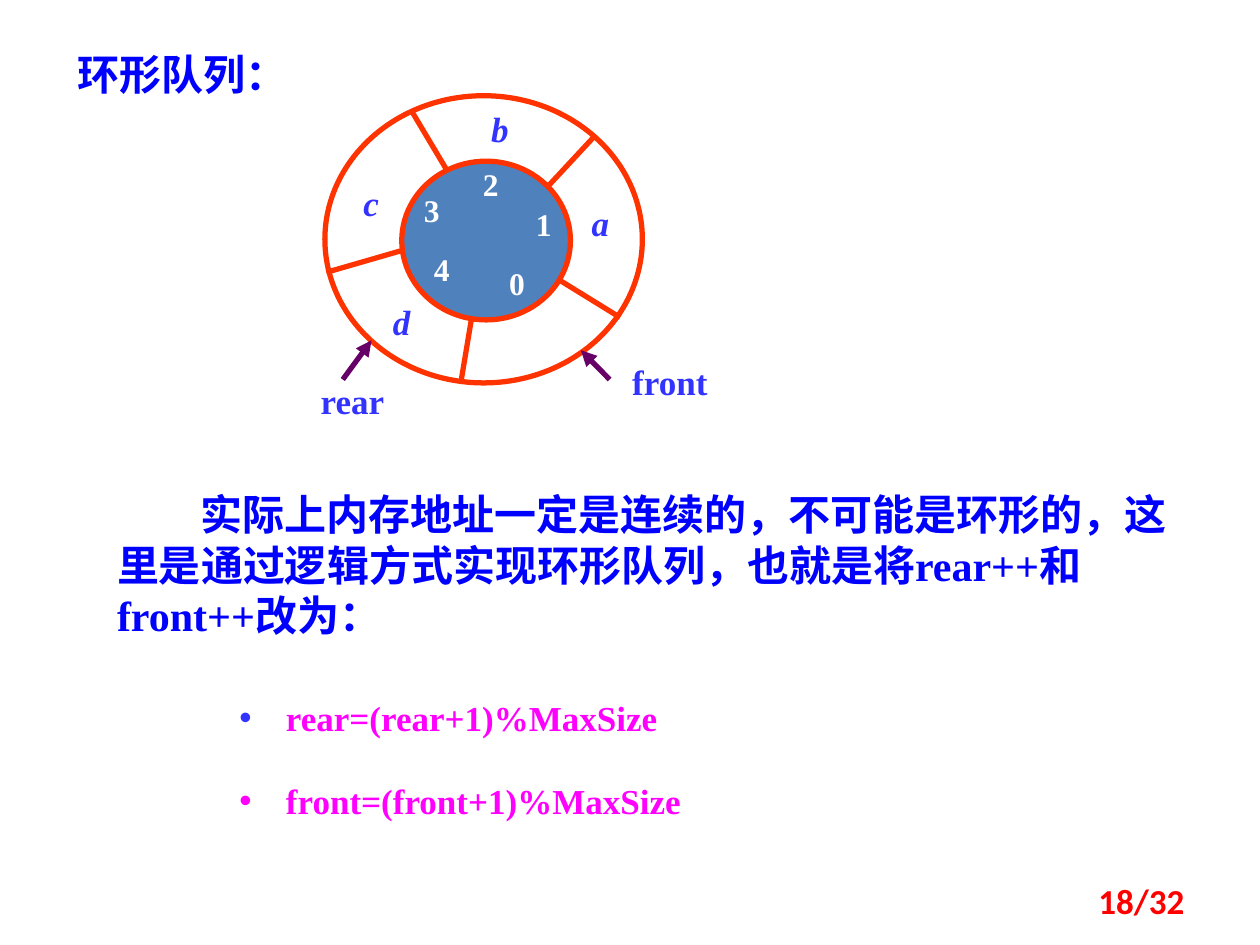
from lxml.etree import SubElement
from pptx import Presentation
from pptx.dml.color import RGBColor
from pptx.enum.lang import MSO_LANGUAGE_ID
from pptx.enum.shapes import MSO_CONNECTOR, MSO_SHAPE
from pptx.enum.text import MSO_ANCHOR, MSO_AUTO_SIZE, PP_ALIGN
from pptx.oxml.ns import qn
from pptx.util import Cm, Pt

RING = "FF3300"
POINTER = "660066"
LABEL = "3333FF"
HEADING = "0000FF"
FORMULA = "FF00FF"

SPOKES = [
    (11.3, 5.66, 12.5, 6.4),
    (11.07, 3.73, 11.99, 2.74),
    (8.31, 2.26, 9.02, 3.45),
    (9.5, 6.45, 9.3, 7.65),
    (6.58, 5.49, 8.1, 5.05),
]
POINTERS = [(12.29, 7.65, 11.71, 7.06), (6.91, 7.65, 7.49, 6.86)]
INDEXES = [(10.03, 5.33), (10.57, 4.14), (9.5, 3.33), (8.31, 3.86), (8.51, 5.05)]
ELEMENTS = {"a": (11.71, 4.06), "b": (9.68, 2.16), "c": (7.09, 3.66), "d": (7.7, 6.05)}
POINTER_NAMES = {"front": (12.5, 7.26), "rear": (6.1, 7.65)}


def color(value):
    """Turn a hex string into a colour."""
    return RGBColor.from_string(value)


def place(shape, left, top, width, height):
    """Move and size a shape in centimetres."""
    shape.left, shape.top = Cm(left), Cm(top)
    shape.width, shape.height = Cm(width), Cm(height)


def format_paragraph(paragraph, size, hex_color, align=PP_ALIGN.LEFT,
                     font="Times New Roman", italic=False):
    """Set the alignment and the font of every run."""
    paragraph.alignment = align
    for run in paragraph.runs:
        run.font.name = font
        run.font.size = Pt(size)
        run.font.bold = True
        run.font.italic = italic
        run.font.color.rgb = color(hex_color)
        run.font.language_id = MSO_LANGUAGE_ID.SIMPLIFIED_CHINESE


def add_text(shapes, text, box, size, hex_color, **style):
    """Add a wrapping text box with one paragraph."""
    shape = shapes.add_textbox(*map(Cm, box))
    shape.text_frame.word_wrap = True
    shape.text_frame.text = text
    format_paragraph(shape.text_frame.paragraphs[0], size, hex_color, **style)
    return shape


def add_label(shapes, text, left, top, size, hex_color, width=0.79, italic=False):
    """Add a centred label without margins."""
    shape = add_text(shapes, text, (left, top, width, 0.84), size, hex_color,
                     align=PP_ALIGN.CENTER, italic=italic)
    frame = shape.text_frame
    frame.margin_left = frame.margin_right = 0
    frame.margin_top = frame.margin_bottom = 0


def add_ellipse(shapes, box, fill=None):
    """Add an outlined ellipse, filled if a colour is given."""
    shape = shapes.add_shape(MSO_SHAPE.OVAL, *map(Cm, box))
    shape.shadow.inherit = False
    if fill:
        shape.fill.solid()
        shape.fill.fore_color.rgb = color(fill)
    else:
        shape.fill.background()
    shape.line.color.rgb = color(RING)
    shape.line.width = Pt(3)


def add_line(shapes, ends, hex_color, arrow=False):
    """Add a straight line, with an arrowhead at its end if asked."""
    line = shapes.add_connector(MSO_CONNECTOR.STRAIGHT, *map(Cm, ends))
    line.line.color.rgb = color(hex_color)
    line.line.width = Pt(3)
    if arrow:
        SubElement(line.line._get_or_add_ln(), qn("a:tailEnd"), type="triangle")
    SubElement(line._element.spPr, qn("a:effectLst"))


def indent(paragraph, left, first):
    """Set the left margin and first-line indent in centimetres."""
    properties = paragraph._p.get_or_add_pPr()
    properties.set("marL", str(Cm(left)))
    properties.set("indent", str(Cm(first)))
    return properties


def add_bullet(paragraph, hex_color):
    """Give a paragraph a coloured round bullet with a hanging indent."""
    properties = indent(paragraph, 0.94, -0.94)
    bullet_color = SubElement(properties, qn("a:buClr"))
    SubElement(bullet_color, qn("a:srgbClr"), val=hex_color)
    SubElement(properties, qn("a:buFont"), typeface="Arial")
    SubElement(properties, qn("a:buChar"), char="•")


def add_ring(slide):
    """Draw the circular queue as one group."""
    shapes = slide.shapes.add_group_shape().shapes
    add_ellipse(shapes, (8.1, 3.25, 3.4, 3.2), "4F81BD")
    add_ellipse(shapes, (6.55, 1.93, 6.4, 5.79))
    for ends in SPOKES:
        add_line(shapes, ends, RING)
    for ends in POINTERS:
        add_line(shapes, ends, POINTER, arrow=True)
    for index, (left, top) in enumerate(INDEXES):
        add_label(shapes, str(index), left, top, 18, "FFFFFF")
    for name, (left, top) in ELEMENTS.items():
        add_label(shapes, name, left, top, 20, LABEL, italic=True)
    for name, (left, top) in POINTER_NAMES.items():
        add_label(shapes, name, left, top, 20, LABEL, width=2.01)


def fill_title(title):
    """Write the heading into the title placeholder."""
    place(title, 1.3, 0.86, 7.59, 1.27)
    frame = title.text_frame
    frame.text = "环形队列："
    frame.vertical_anchor = MSO_ANCHOR.TOP
    frame.auto_size = MSO_AUTO_SIZE.NONE
    format_paragraph(frame.paragraphs[0], 24, HEADING)


def fill_formulas(body):
    """Write the two bulleted formulas into the body placeholder."""
    place(body, 4.57, 13.49, 13.49, 3.25)
    frame = body.text_frame
    frame.text = "rear=(rear+1)%MaxSize\nfront=(front+1)%MaxSize"
    frame.auto_size = MSO_AUTO_SIZE.NONE
    for paragraph, bullet, space in zip(frame.paragraphs, (LABEL, FORMULA), (0, 11.5)):
        paragraph.line_spacing = 1.5
        paragraph.space_before = Pt(space)
        format_paragraph(paragraph, 20, FORMULA)
        add_bullet(paragraph, bullet)


def main():
    """Build the slide and save it."""
    presentation = Presentation()
    presentation.slide_width, presentation.slide_height = Cm(25.4), Cm(19.05)
    slide = presentation.slides.add_slide(presentation.slide_layouts[1])
    fill_title(slide.shapes.title)
    fill_formulas(slide.placeholders[1])
    add_ring(slide)
    note = add_text(
        slide.shapes,
        "实际上内存地址一定是连续的，不可能是环形的，这里是通过逻辑方式实现环形队列，"
        "也就是将rear++和front++改为：",
        (2.11, 9.73, 22.1, 3.33), 24, HEADING)
    indent(note.text_frame.paragraphs[0], 0, 1.69)
    page = add_text(slide.shapes, "18/32", (18.21, 17.65, 5.92, 1.02), 20, "FF0000",
                    align=PP_ALIGN.RIGHT, font="Calibri")
    page.text_frame.vertical_anchor = MSO_ANCHOR.MIDDLE
    presentation.save("out.pptx")


if __name__ == "__main__":
    main()
